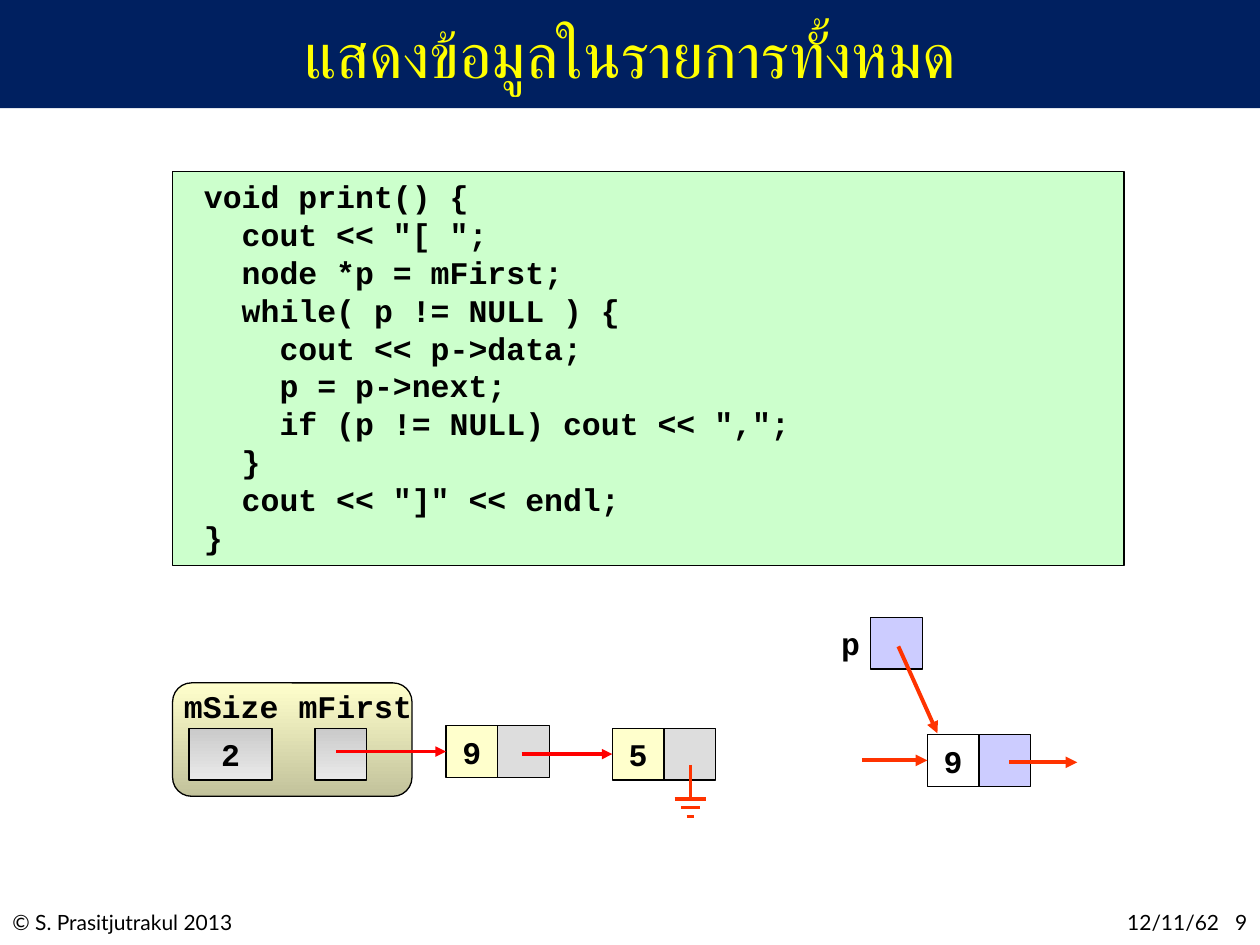
"""Build the slide on printing all items of a linked list."""
from lxml import etree
from pptx import Presentation
from pptx.dml.color import RGBColor
from pptx.enum.shapes import MSO_CONNECTOR, MSO_SHAPE
from pptx.enum.text import MSO_ANCHOR, PP_ALIGN
from pptx.oxml.ns import qn
from pptx.util import Inches, Pt

RECT, ROUND = MSO_SHAPE.RECTANGLE, MSO_SHAPE.ROUNDED_RECTANGLE
LINE = MSO_CONNECTOR.STRAIGHT
TOP, MID = MSO_ANCHOR.TOP, MSO_ANCHOR.MIDDLE
LEFT, MIDST, RIGHT = PP_ALIGN.LEFT, PP_ALIGN.CENTER, PP_ALIGN.RIGHT

BLACK = RGBColor(0x00, 0x00, 0x00)
WHITE = RGBColor(0xFF, 0xFF, 0xFF)
NAVY = RGBColor(0x00, 0x20, 0x60)
YELLOW = RGBColor(0xFF, 0xFF, 0x00)
GREEN = RGBColor(0xCC, 0xFF, 0xCC)
LILAC = RGBColor(0xCC, 0xCC, 0xFF)
CREAM = RGBColor(0xFF, 0xFF, 0xCC)
KHAKI = RGBColor(0xC2, 0xC2, 0x9B)
SILVER = RGBColor(0xDD, 0xDD, 0xDD)
DARK = RGBColor(0xCA, 0xCA, 0xCA)
LIGHT = RGBColor(0xEA, 0xEA, 0xEA)
RED = RGBColor(0xFF, 0x00, 0x00)
ORANGE = RGBColor(0xFF, 0x33, 0x00)

WIDE, HIGH = 10, 7.5
CELL = 0.41
MONO, SANS = "Courier New", "Lato"

TITLE = "แสดงข้อมูลในรายการทั้งหมด"
CODE = [
    " void print() {",
    "   cout << \"[ \";",
    "   node *p = mFirst;",
    "   while( p != NULL ) {",
    "     cout << p->data;",
    "     p = p->next;",
    "     if (p != NULL) cout << \",\";",
    "   }",
    "   cout << \"]\" << endl;",
    " }",
]
FOOTER = [
    ("© S. Prasitjutrakul 2013", 0, 3.25, LEFT),
    ("12/11/62   9", 7.83, 2.17, RIGHT),
]
LABELS = [("p", 6.57, 4.9, 0.36), ("mFirst", 2.24, 5.4, 1.16), ("mSize", 1.33, 5.4, 1.01)]
FIELDS = [("", 2.5, CELL), ("2", 1.5, 0.66)]
NODES = {
    "focus": ("9", 7.36, 5.83, WHITE, LILAC),
    "last": ("5", 4.86, 5.78, CREAM, SILVER),
    "first": ("9", 3.54, 5.76, CREAM, SILVER),
}
LINKS = [("focus", 6.84, ORANGE, 2.25), ("first", 2.67, RED, 2), ("last", 4.14, RED, 2)]
ARROWS = [(7.13, 5.13, 7.44, 5.82), (8.01, 6.05, 8.55, 6.05)]
GROUND = [0.25, 0.15, 0.06]


def write(shape, lines, size=18, font=MONO, color=BLACK, bold=True, align=MIDST, anchor=MID):
    frame = shape.text_frame
    frame.vertical_anchor = anchor
    for i, line in enumerate(lines):
        para = frame.paragraphs[0] if i == 0 else frame.add_paragraph()
        para.alignment = align
        run = para.add_run()
        run.text = line
        run.font.size, run.font.name, run.font.bold = Pt(size), font, bold
        run.font.color.rgb = color


def box(shapes, x, y, w, h, *fills, kind=RECT):
    shape = shapes.add_shape(kind, Inches(x), Inches(y), Inches(w), Inches(h))
    shape.shadow.inherit = False
    if len(fills) == 1:
        shape.fill.solid()
        shape.fill.fore_color.rgb = fills[0]
    else:
        shape.fill.gradient()
        shape.fill.gradient_angle = 270
        for i, (stop, color) in enumerate(zip(shape.fill.gradient_stops, fills)):
            stop.position = i
            stop.color.rgb = color
    shape.line.color.rgb = BLACK
    shape.line.width = Pt(0.75)
    return shape


def note(shapes, text, x, y, w, h, **style):
    shape = shapes.add_textbox(Inches(x), Inches(y), Inches(w), Inches(h))
    shape.text_frame.word_wrap = True
    write(shape, [text], **style)


def draw(shapes, x1, y1, x2, y2, color=ORANGE, width=2, head=True):
    link = shapes.add_connector(LINE, Inches(x1), Inches(y1), Inches(x2), Inches(y2))
    link.line.color.rgb = color
    link.line.width = Pt(width)
    if head:
        etree.SubElement(link.line._get_or_add_ln(), qn("a:tailEnd"), type="triangle")
    etree.SubElement(link._element.spPr, qn("a:effectLst"))
    return link


def main():
    deck = Presentation()
    deck.slide_width, deck.slide_height = Inches(WIDE), Inches(HIGH)
    slide = deck.slides.add_slide(deck.slide_layouts[5])
    shapes = slide.shapes

    title = shapes.title
    title.left, title.top = Inches(0.75), Inches(0.01)
    title.width, title.height = Inches(8.5), Inches(0.83)
    write(title, [TITLE], size=36, color=YELLOW, bold=False)
    band = box(shapes, 0, 0, WIDE, 0.86, NAVY)
    band.line.fill.background()
    title._element.addprevious(band._element)

    for text, x, w, align in FOOTER:
        note(shapes, text, x, 7.17, w, 0.3, size=12, font=SANS, bold=False, align=align, anchor=TOP)

    code = box(shapes, 1.37, 1.36, 7.55, 3.13, GREEN)
    write(code, CODE, align=LEFT, anchor=TOP)

    box(shapes, 6.91, 4.9, CELL, CELL, LILAC)
    box(shapes, 1.37, 5.42, 1.9, 0.9, CREAM, KHAKI, kind=ROUND).adjustments[0] = 0.167
    for text, x, w in FIELDS:
        field = box(shapes, x, 5.78, w, CELL, DARK, LIGHT)
        if text:
            write(field, [text])
    for text, x, y, w in LABELS:
        note(shapes, text, x, y, w, 0.4, anchor=TOP)

    cells = {}
    for name, (text, x, y, data, tail) in NODES.items():
        cells[name] = box(shapes, x, y, CELL, CELL, data)
        write(cells[name], [text])
        box(shapes, x + CELL, y, CELL, CELL, tail)

    for name, start, color, width in LINKS:
        _, x, y, *_ = NODES[name]
        mid = y + CELL / 2
        draw(shapes, start, mid, x, mid, color, width).end_connect(cells[name], 1)
    for ends in ARROWS:
        draw(shapes, *ends, width=2.25)

    mid, base = 5.48, 6.34
    draw(shapes, mid, 6.07, mid, base, head=False)
    for i, w in enumerate(GROUND):
        y = base + 0.07 * i
        draw(shapes, mid - w / 2, y, mid + w / 2, y, head=False)

    deck.save("out.pptx")


if __name__ == "__main__":
    main()
